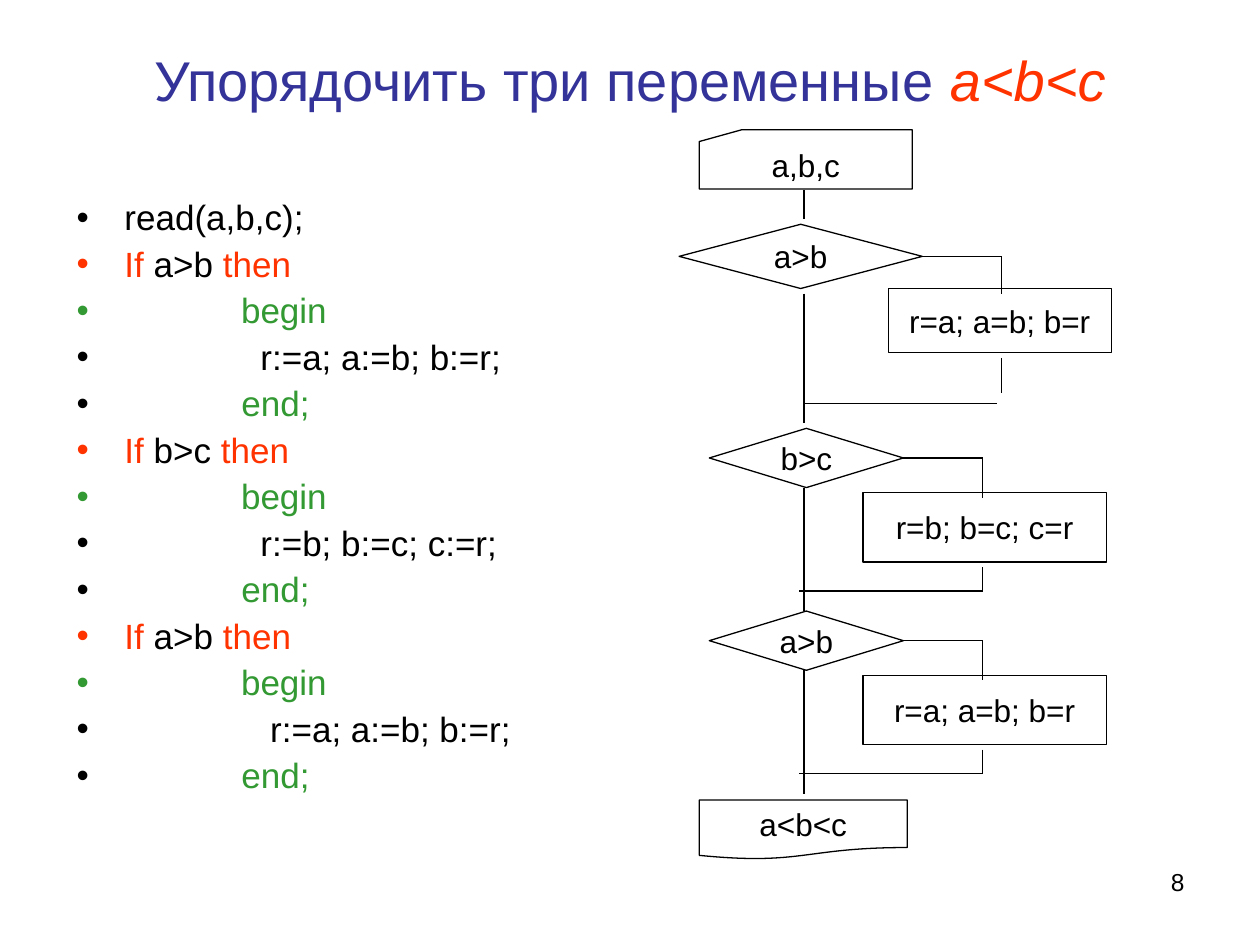
import pptx
import pptx.util
import pptx.dml.color
import pptx.enum.shapes
import pptx.enum.text
import pptx.oxml

theme = {
    "font": "Arial",
    "ink": "000000", "heading": "333399", "keyword": "FF3300", "block": "339933",
    "title_size": 32, "code_size": 20, "flow_size": 18, "number_size": 14,
    "line": 0.75,
}
MSO_SHAPE = pptx.enum.shapes.MSO_SHAPE
ALIGN = pptx.enum.text.PP_ALIGN

deck = pptx.Presentation()
deck.slide_width = pptx.util.Inches(10)
deck.slide_height = pptx.util.Inches(7.5)
column = deck.slide_width // 100
row = deck.slide_height // 75
slide = deck.slides.add_slide(deck.slide_layouts[5])


def write(paragraph, size, *runs):
    for text, tone in runs:
        run = paragraph.add_run()
        run.text = text
        run.font.name = theme["font"]
        run.font.size = pptx.util.Pt(theme[size])
        run.font.color.rgb = pptx.dml.color.RGBColor.from_string(theme[tone])


def place(left, top, width, height):
    return [round(left * column), round(top * row), round(width * column), round(height * row)]


heading = slide.shapes.title
heading.left, heading.top, heading.width, heading.height = place(5, 3, 90, 6.5)
heading.text_frame.vertical_anchor = pptx.enum.text.MSO_ANCHOR.MIDDLE
heading_line = heading.text_frame.paragraphs[0]
heading_line.alignment = ALIGN.CENTER
write(heading_line, "title_size", ("Упорядочить три переменные ", "heading"), ("a<b<c", "keyword"))
heading_line.runs[1].font.italic = True

code_lines = [("ink", [("read(a,b,c);", "ink")])]
for condition, swap in [
    ("a>b", "              r:=a; a:=b; b:=r;"),
    ("b>c", "              r:=b; b:=c; c:=r;"),
    ("a>b", "               r:=a; a:=b; b:=r;"),
]:
    code_lines += [
        ("keyword", [("If", "keyword"), (f" {condition} ", "ink"), ("then", "keyword")]),
        ("block", [("            begin", "block")]),
        ("ink", [(swap, "ink")]),
        ("ink", [("            ", "ink"), ("end;", "block")]),
    ]

program = slide.shapes.add_textbox(*place(5.1, 15.4, 42.6, 50.8)).text_frame
program.word_wrap = True
hanging = round(3.8 * column)
for index, (bullet_tone, runs) in enumerate(code_lines):
    code_line = program.add_paragraph() if index else program.paragraphs[0]
    properties = code_line._p.get_or_add_pPr()
    properties.set("marL", str(hanging))
    properties.set("indent", str(-hanging))
    namespace = pptx.oxml.ns.nsdecls("a")
    for bullet in (
        f'<a:buClr {namespace}><a:srgbClr val="{theme[bullet_tone]}"/></a:buClr>',
        f'<a:buFont {namespace} typeface="{theme["font"]}"/>',
        f'<a:buChar {namespace} char="•"/>',
    ):
        properties.append(pptx.oxml.parse_xml(bullet))
    code_line.line_spacing = 0.9
    if index:
        code_line.space_before = pptx.util.Pt(5)
    write(code_line, "code_size", *runs)

spine = 63.8
nodes = [
    (MSO_SHAPE.FLOWCHART_CARD, "a,b,c", (55.5, 10.3, 16.9, 4.7)),
    (MSO_SHAPE.FLOWCHART_DOCUMENT, "a<b<c", (55.5, 63.5, 16.5, 4.7)),
]
links = [((spine, 15.1), (spine, 17.4), None)]

stages = [
    ("a>b", (53.9, 17.8, 19.3, 5.1), "r=a; a=b; b=r", (70.5, 22.9, 17.7, 5.1),
     79.5, 31.2, (79.1, 32, spine), (23.3, 33.6)),
]
for condition, swap, top in [("b>c", "r=b; b=c; c=r", 34), ("a>b", "r=a; a=b; b=r", 48.5)]:
    stages.append((
        condition, (56.3, top, 15.4, 4.7), swap, (68.5, top + 5.1, 19.3, 5.5),
        78, top + 12.9, (78, top + 12.9, 63.4), (top + 4.7, top + 14.5),
    ))

for condition, test, swap, action, branch, drop_end, (back, merge, join), (start, end) in stages:
    test_index = len(nodes)
    nodes.append((MSO_SHAPE.FLOWCHART_DECISION, condition, test))
    nodes.append((MSO_SHAPE.FLOWCHART_PROCESS, swap, action))
    middle = test[1] + test[3] / 2
    links += [
        ((test[0] + test[2], middle), (branch, middle), test_index),
        ((branch, middle), (branch, action[1] + 0.4), None),
        ((branch, action[1] + action[3] + 0.4), (branch, drop_end), None),
        ((back, merge), (join, merge), None),
        ((spine, start), (spine, end), None),
    ]

flow = []
for kind, label, box in nodes:
    node = slide.shapes.add_shape(kind, *place(*box))
    node.shadow.inherit = False
    node.fill.background()
    node.line.color.rgb = pptx.dml.color.RGBColor.from_string(theme["ink"])
    node.line.width = pptx.util.Pt(theme["line"])
    node.text_frame.word_wrap = False
    node.text_frame.vertical_anchor = pptx.enum.text.MSO_ANCHOR.MIDDLE
    node.text_frame.paragraphs[0].alignment = ALIGN.CENTER
    write(node.text_frame.paragraphs[0], "flow_size", (label, "ink"))
    flow.append(node)

for begin, finish, source in links:
    link = slide.shapes.add_connector(
        pptx.enum.shapes.MSO_CONNECTOR.STRAIGHT, *place(*begin, *finish))
    link.line.color.rgb = pptx.dml.color.RGBColor.from_string(theme["ink"])
    link.line.width = pptx.util.Pt(theme["line"])
    link._element.spPr.append(pptx.oxml.parse_xml(
        f'<a:effectLst {pptx.oxml.ns.nsdecls("a")}/>'))
    if source is not None:
        link.begin_connect(flow[source], 3)

page_number = slide.shapes.add_textbox(*place(71.7, 68.3, 23.3, 5.2)).text_frame
page_number.word_wrap = True
page_number.paragraphs[0].alignment = ALIGN.RIGHT
write(page_number.paragraphs[0], "number_size", ("8", "ink"))

deck.save("out.pptx")
